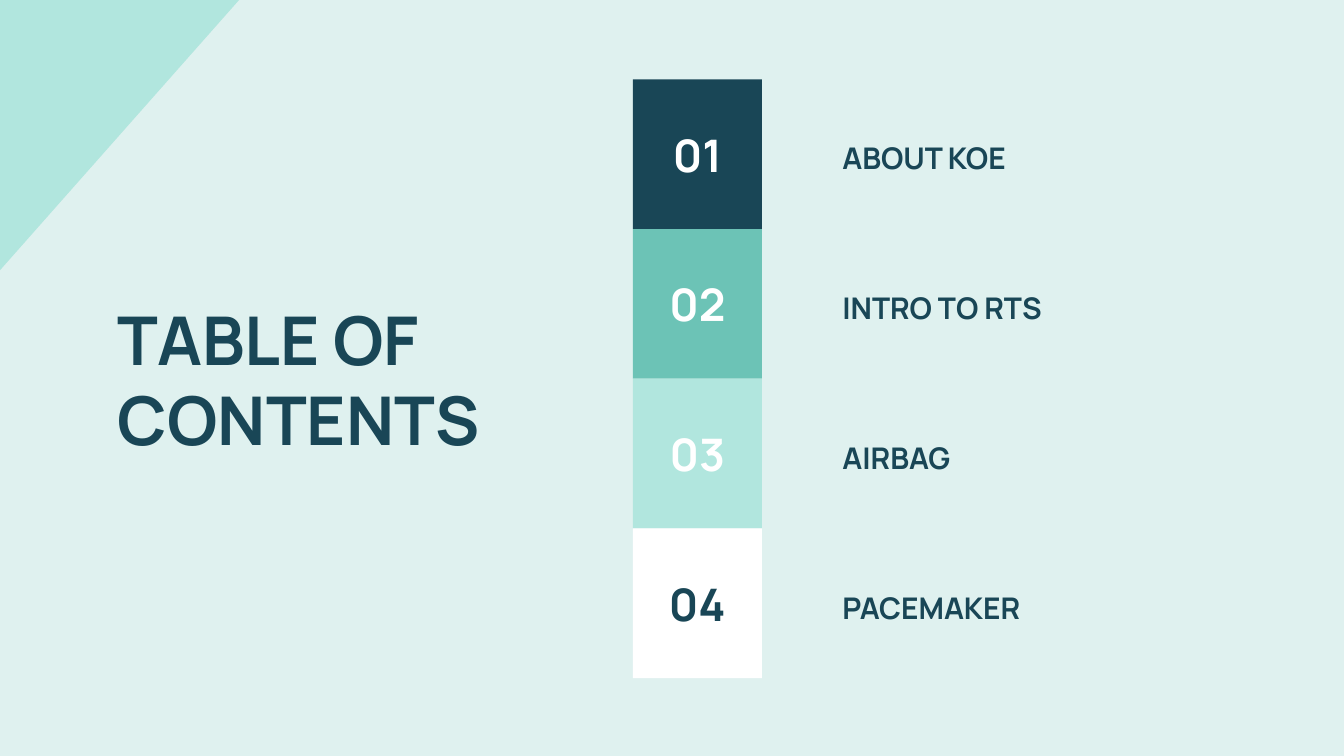
from pptx import Presentation
from pptx.dml.color import RGBColor
from pptx.enum.shapes import MSO_SHAPE
from pptx.enum.text import MSO_ANCHOR, PP_ALIGN
from pptx.util import Cm, Pt

RECTANGLE = MSO_SHAPE.RECTANGLE
TOP, MIDDLE = MSO_ANCHOR.TOP, MSO_ANCHOR.MIDDLE
LEFT, CENTER = PP_ALIGN.LEFT, PP_ALIGN.CENTER

NAVY = RGBColor(0x19, 0x46, 0x56)
TEAL = RGBColor(0x6C, 0xC3, 0xB6)
MINT = RGBColor(0xB1, 0xE6, 0xDE)
PALE = RGBColor(0xDF, 0xF1, 0xEF)
WHITE = RGBColor(0xFF, 0xFF, 0xFF)

FONT = "Manrope"
INSET = 0.25
COLUMN_LEFT, COLUMN_TOP = 11.96, 1.5
CELL_WIDTH, CELL_HEIGHT = 2.44, 2.83
NUMBER_HEIGHT = 1.78
TOPIC_OFFSET = 0.9

CHAPTERS = [
    ("ABOUT KOE", NAVY, WHITE),
    ("INTRO TO RTS", TEAL, WHITE),
    ("AIRBAG", MINT, WHITE),
    ("PACEMAKER", WHITE, NAVY),
]


def paint(shape, color):
    shape.shadow.inherit = False
    shape.fill.solid()
    shape.fill.fore_color.rgb = color
    shape.line.fill.background()


def add_corner(slide, width, height):
    builder = slide.shapes.build_freeform(0, 0)
    builder.add_line_segments([(0, Cm(height)), (Cm(width), 0)], close=True)
    paint(builder.convert_to_shape(), MINT)


def add_text(slide, text, left, top, width, height, size, color,
             anchor=MIDDLE, align=LEFT, side_inset=INSET, space_after=0):
    box = slide.shapes.add_textbox(Cm(left), Cm(top), Cm(width), Cm(height))
    frame = box.text_frame
    frame.word_wrap = True
    frame.vertical_anchor = anchor
    frame.margin_left = frame.margin_right = Cm(side_inset)
    frame.margin_top = frame.margin_bottom = Cm(INSET)
    paragraph = frame.paragraphs[0]
    paragraph.text = text
    paragraph.alignment = align
    paragraph.space_after = Pt(space_after)
    paragraph.font.name = FONT
    paragraph.font.size = Pt(size)
    paragraph.font.bold = True
    paragraph.font.color.rgb = color


def add_chapter(slide, index, topic, cell_color, number_color):
    top = COLUMN_TOP + index * CELL_HEIGHT
    cell = slide.shapes.add_shape(
        RECTANGLE, Cm(COLUMN_LEFT), Cm(top), Cm(CELL_WIDTH), Cm(CELL_HEIGHT))
    paint(cell, cell_color)
    number_top = top + (CELL_HEIGHT - NUMBER_HEIGHT) / 2
    add_text(slide, f"{index + 1:02d}", COLUMN_LEFT, number_top, CELL_WIDTH,
             NUMBER_HEIGHT, 24, number_color, align=CENTER, side_inset=0)
    add_text(slide, topic, 15.67, top + TOPIC_OFFSET, 7.75, 1.02, 16, NAVY,
             anchor=TOP, space_after=8)


def main():
    presentation = Presentation()
    presentation.slide_width = Cm(25.4)
    presentation.slide_height = Cm(14.29)
    slide = presentation.slides.add_slide(presentation.slide_layouts[6])
    slide.background.fill.solid()
    slide.background.fill.fore_color.rgb = PALE

    add_corner(slide, 4.52, 5.11)
    add_text(slide, "TABLE OF CONTENTS", 1.98, 4.6, 8.74, 5.11, 36, NAVY)
    for index, chapter in enumerate(CHAPTERS):
        add_chapter(slide, index, *chapter)

    presentation.save("out.pptx")


if __name__ == "__main__":
    main()
